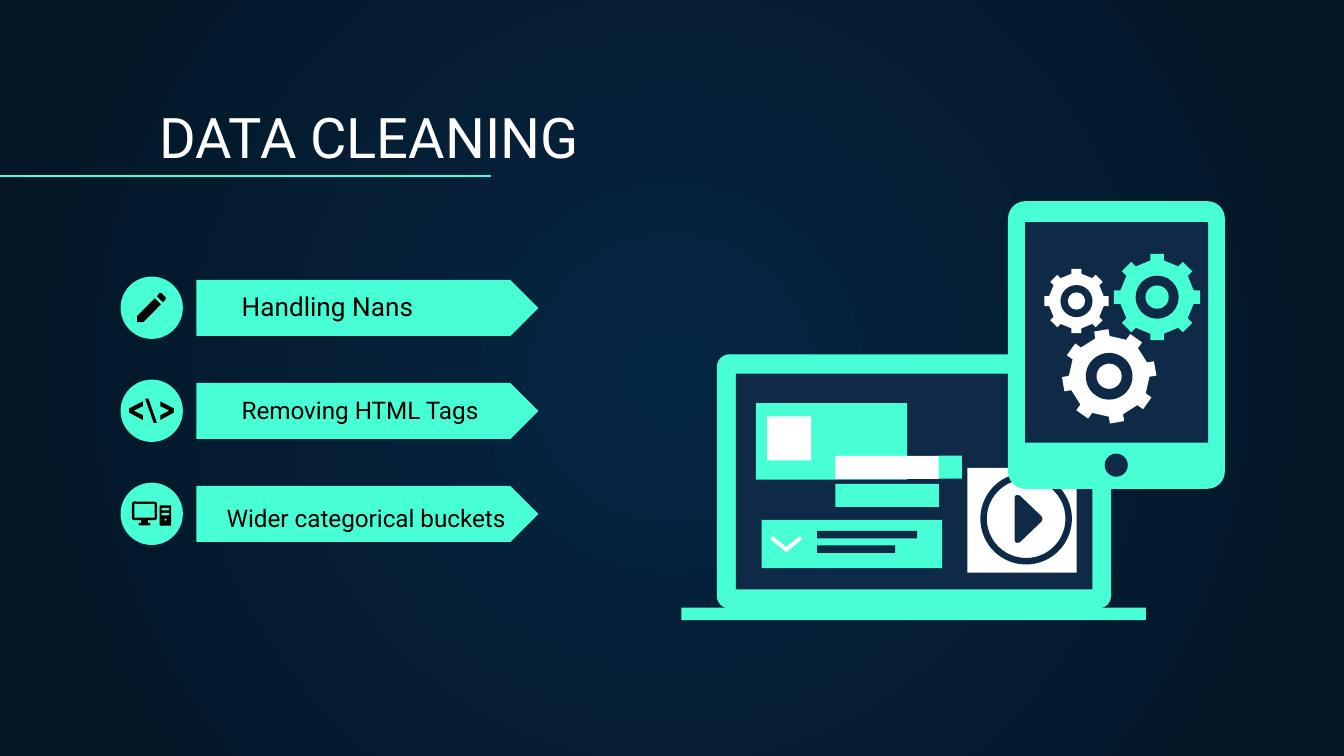
"""Build the data cleaning slide with its laptop and tablet drawing."""
from math import cos, pi, sin
from lxml.etree import SubElement
from pptx import Presentation
from pptx.dml.color import RGBColor
from pptx.enum.shapes import MSO_CONNECTOR, MSO_SHAPE
from pptx.enum.text import MSO_ANCHOR
from pptx.oxml.ns import qn
from pptx.util import Pt

MINT, NAVY, WHITE, BLACK = "48FFD5", "0E2A47", "FFFFFF", "000000"
RECT, ROUND = MSO_SHAPE.RECTANGLE, MSO_SHAPE.ROUNDED_RECTANGLE
OVAL, RING = MSO_SHAPE.OVAL, MSO_SHAPE.DONUT
GLOW = ["052643", "041523"]
TITLE = ("DATA CLEANING", 30, 78.5, 50.4, 617, 47.5, 7.2)
ITEMS = [
    ("Handling Nans", 14, 122.4, 164.2, 163.5, 15.1, 7.2),
    ("Removing HTML Tags", 13, 122.4, 219.6, 163.5, 15.1, 7.2),
    ("Wider categorical buckets", 13, 110.2, 258.5, 190.8, 33.8, 11.2),
]
TOP, STEP = 150, 55.2
PENCIL = [
    [(86.4, 156.9), (85.5, 156.9), (84.1, 158.8), (87.3, 162),
     (88.8, 160.4), (88.8, 159.3)],
    [(83, 159.9), (73.5, 169.3), (73.5, 172.6), (76.8, 172.6), (86.2, 163.1)],
]
CODE = [
    [(76.5, 225), (69.1, 221), (69.1, 218.8), (76.5, 215),
     (76.5, 217.6), (71.6, 220), (76.5, 222.4)],
    [(82.4, 226.6), (77.8, 213.6), (79.6, 213.6), (84.1, 226.6)],
    [(85.9, 225), (85.9, 222.4), (90.8, 220), (85.9, 217.6),
     (85.9, 215), (93.2, 218.8), (93.2, 221)],
]
DESKTOP = [
    (ROUND, 70.7, 268.7, 13.4, 10, BLACK, .13),
    (RECT, 72, 270, 10.8, 7.4, MINT, None),
    (RECT, 75.6, 278.6, 3.6, 1.8, BLACK, None),
    (ROUND, 74.2, 280.1, 6.4, 1.4, BLACK, .5),
    (ROUND, 85.5, 270.7, 6.2, 10.9, BLACK, .1),
    (ROUND, 86.5, 272.1, 4.2, 1.4, MINT, .5),
    (ROUND, 86.5, 274.7, 4.2, 1.4, MINT, .5),
    (OVAL, 88.1, 277.8, 1.1, 1.1, MINT, None),
]
LAPTOP = [
    (ROUND, 384, 189.8, 211.2, 136.2, MINT, .05),
    (RECT, 394.2, 200.2, 191, 115.6, NAVY, None),
    (RECT, 365, 325.6, 249, 6.6, MINT, None),
    (RECT, 405, 216, 81, 41, MINT, None),
    (RECT, 411, 223, 23.6, 23.6, WHITE, None),
    (RECT, 408, 278.5, 96.7, 25.9, MINT, None),
    (RECT, 437.7, 284.4, 53.6, 4, NAVY, None),
    (RECT, 437.7, 292.2, 41.8, 4, NAVY, None),
    (RECT, 447.6, 259.2, 55.4, 12.4, MINT, None),
    (RECT, 447.6, 244.2, 55.4, 12.4, WHITE, None),
    (RECT, 502.9, 244.1, 12.4, 12.4, MINT, None),
    (RECT, 518.2, 250.6, 58.6, 56.2, WHITE, None),
    (RING, 525.2, 253.4, 49, 49, NAVY, .07),
]
TICK = [(414, 287.2), (421.2, 293), (428.4, 287.2), (429.8, 288.7),
        (421.2, 295.9), (412.6, 288.7)]
PLAY = [(543.6, 266.4), (544.3, 265.2), (546.3, 265.4), (558, 276.6),
        (558.5, 278), (558, 279.4), (546.3, 290.6), (544.3, 290.8),
        (543.6, 289.6)]
TABLET = [
    (ROUND, 540, 107.8, 116.2, 154.1, MINT, .08),
    (RECT, 549.2, 119, 98, 118.2, NAVY, None),
    (OVAL, 591.8, 243, 12.4, 12.4, NAVY, None),
]
GEARS = [
    (619.9, 159.2, 23.1, MINT, 0),
    (576.7, 161.3, 17.2, WHITE, 0),
    (594.2, 201.6, 25, WHITE, -.17),
]

deck = Presentation()
deck.slide_width, deck.slide_height = Pt(720), Pt(405)
slide = deck.slides.add_slide(deck.slide_layouts[6])
shapes = slide.shapes


def tint(hue):
    return RGBColor.from_string(hue)


def paint(shape, hue):
    shape.shadow.inherit = False
    shape.fill.solid()
    shape.fill.fore_color.rgb = tint(hue)
    shape.line.fill.background()


def place(kind, x, y, w, h, hue, bend=None):
    shape = shapes.add_shape(kind, Pt(x), Pt(y), Pt(w), Pt(h))
    if bend is not None:
        shape.adjustments[0] = bend
    paint(shape, hue)


def trace(hue, *rings):
    pen = None
    for ring in rings:
        dots = [(Pt(x), Pt(y)) for x, y in ring]
        if pen is None:
            pen = shapes.build_freeform(*dots[0], scale=1)
        else:
            pen.move_to(*dots[0])
        pen.add_line_segments(dots[1:], close=True)
    paint(pen.convert_to_shape(), hue)


def write(text, size, x, y, w, h, left, hue):
    frame = shapes.add_textbox(Pt(x), Pt(y), Pt(w), Pt(h)).text_frame
    frame.word_wrap = True
    frame.vertical_anchor = MSO_ANCHOR.BOTTOM
    frame.margin_left = Pt(left)
    frame.margin_right = frame.margin_top = frame.margin_bottom = Pt(7.2)
    run = frame.paragraphs[0].add_run()
    run.text = text
    run.font.name, run.font.size = "Roboto", Pt(size)
    run.font.color.rgb = tint(hue)


def gear(x, y, size, hue, turn):
    half, dots = size * .155, []
    for k in range(8):
        a = turn + k * pi / 4
        for out, side in ((.85, -1), (1, -1), (1, 1), (.85, 1)):
            r, s = out * size, side * half
            dots.append((x + r * cos(a) - s * sin(a),
                         y + r * sin(a) + s * cos(a)))
    trace(hue, dots)
    for part, fill in ((.5, NAVY), (.27, hue)):
        r = size * part
        place(OVAL, x - r, y - r, 2 * r, 2 * r, fill)


def main():
    fill = slide.background.fill
    fill.gradient()
    for stop, hue, spot in zip(fill.gradient_stops, GLOW, (0, 1)):
        stop.color.rgb, stop.position = tint(hue), spot
    grad = slide.element.find(".//" + qn("a:gradFill"))
    grad.remove(grad.find(qn("a:lin")))
    mode = SubElement(grad, qn("a:path"), path="circle")
    SubElement(mode, qn("a:fillToRect"), dict.fromkeys("ltrb", "50000"))

    write(*TITLE, WHITE)
    rule = shapes.add_connector(
        MSO_CONNECTOR.STRAIGHT, Pt(0), Pt(94.3), Pt(263), Pt(94.3))
    rule.line.color.rgb, rule.line.width = tint(MINT), Pt(.75)
    SubElement(rule.element.spPr, qn("a:effectLst"))

    for k, item in enumerate(ITEMS):
        y = TOP + k * STEP
        place(MSO_SHAPE.PENTAGON, 105.2, y, 183.2, 30, MINT, .5)
        place(OVAL, 64.6, y - 1.8, 33.4, 33.4, MINT)
        write(*item, BLACK)
    trace(BLACK, *PENCIL)
    for stroke in CODE:
        trace(BLACK, stroke)
    for part in DESKTOP + LAPTOP:
        place(*part)
    trace(WHITE, TICK)
    trace(NAVY, PLAY)
    for part in TABLET:
        place(*part)
    for wheel in GEARS:
        gear(*wheel)
    deck.save("out.pptx")


if __name__ == "__main__":
    main()
